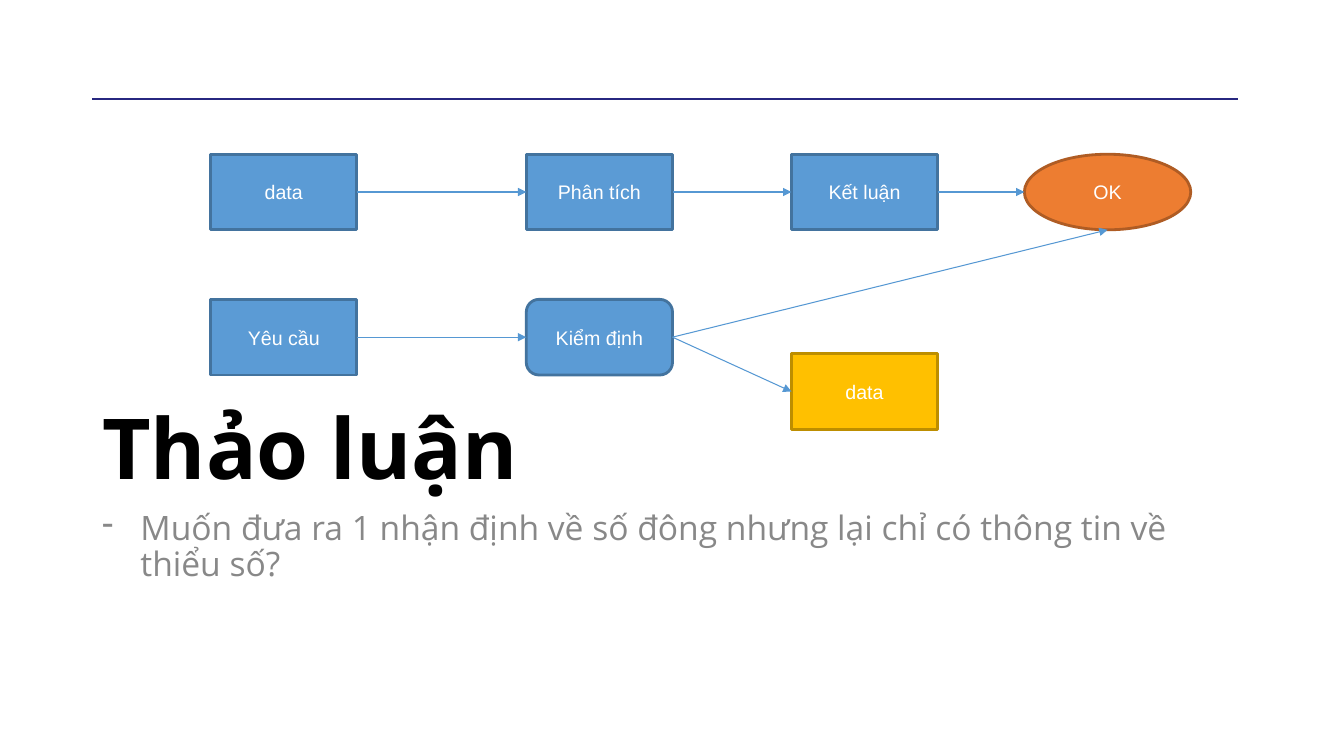
from dataclasses import dataclass

import pptx
import pptx.dml.color
import pptx.enum.shapes
import pptx.enum.text
import pptx.util
from lxml import etree
from pptx.oxml.ns import qn

SHAPE = pptx.enum.shapes.MSO_SHAPE
ANCHOR = pptx.enum.text.MSO_ANCHOR
ALIGN = pptx.enum.text.PP_ALIGN
LEFT_SITE, RIGHT_SITE = 1, 3


@dataclass(frozen=True)
class Theme:
    title_font: str = "Open Sans"
    label_font: str = "Arial"
    title_size: int = 60
    question_size: int = 24
    label_size: int = 14
    title: str = "000000"
    question: str = "888888"
    label: str = "FFFFFF"
    rule: str = "272780"
    arrow: str = "5698D3"
    step: tuple[str, str] = ("5B9BD5", "43739E")
    success: tuple[str, str] = ("ED7D31", "AF5C24")
    fallback: tuple[str, str] = ("FFC000", "BD8E00")
    border_width: float = 2
    arrow_width: float = 0.75


@dataclass(frozen=True)
class Step:
    label: str
    column: int
    row: int
    colours: tuple[str, str]
    outline: SHAPE = SHAPE.RECTANGLE
    width: float = 10.88


@dataclass(frozen=True)
class Flow:
    source: str
    target: str
    enters_below: bool = False


THEME = Theme()
SLIDE_WIDTH, SLIDE_HEIGHT = pptx.util.Inches(13.33), pptx.util.Inches(7.5)

# Percentages of the slide's width and height
COLUMNS = (15.68, 39.16, 58.89, 76.22)
ROWS = (20.4, 39.6, 46.8)
STEP_HEIGHT = 10
MARGIN, CONTENT_WIDTH = 6.85, 86.3
RULE_Y = 13.1

STEPS = {
    "data": Step("data", 0, 0, THEME.step),
    "analysis": Step("Phân tích", 1, 0, THEME.step),
    "conclusion": Step("Kết luận", 2, 0, THEME.step),
    "ok": Step("OK", 3, 0, THEME.success, SHAPE.OVAL, 12.38),
    "request": Step("Yêu cầu", 0, 1, THEME.step),
    "check": Step("Kiểm định", 1, 1, THEME.step, SHAPE.ROUNDED_RECTANGLE),
    "new data": Step("data", 2, 2, THEME.fallback),
}
FLOWS = (
    Flow("data", "analysis"),
    Flow("analysis", "conclusion"),
    Flow("conclusion", "ok"),
    Flow("request", "check"),
    Flow("check", "new data"),
    Flow("check", "ok", enters_below=True),
)


def across(percent: float) -> int:
    return round(SLIDE_WIDTH * percent / 100)


def down(percent: float) -> int:
    return round(SLIDE_HEIGHT * percent / 100)


def rgb(colour: str) -> pptx.dml.color.RGBColor:
    return pptx.dml.color.RGBColor.from_string(colour)


def style_font(font, name: str, size: float, colour: str, bold: bool = False) -> None:
    font.name = name
    font.size = pptx.util.Pt(size)
    font.color.rgb = rgb(colour)
    font.bold = bold


def style_line(line, colour: str, width: float) -> None:
    line.color.rgb = rgb(colour)
    line.width = pptx.util.Pt(width)


def fill_placeholder(placeholder, text: str, top: float, height: float, anchor: ANCHOR):
    """Place a template placeholder and return its only paragraph."""
    placeholder.left, placeholder.top = across(MARGIN), down(top)
    placeholder.width, placeholder.height = across(CONTENT_WIDTH), down(height)
    frame = placeholder.text_frame
    frame.text = text
    frame.auto_size = pptx.enum.text.MSO_AUTO_SIZE.NONE
    frame.vertical_anchor = anchor
    paragraph = frame.paragraphs[0]
    paragraph.alignment = ALIGN.LEFT
    paragraph.line_spacing = 0.9
    paragraph.space_before = pptx.util.Pt(0)
    return paragraph


def add_dash_bullet(paragraph, colour: str) -> None:
    properties = paragraph._p.get_or_add_pPr()
    indent = pptx.util.Inches(0.38)
    properties.set("marL", str(indent))
    properties.set("indent", str(-indent))
    bullet_colour = etree.SubElement(properties, qn("a:buClr"))
    etree.SubElement(bullet_colour, qn("a:srgbClr"), val=colour)
    etree.SubElement(properties, qn("a:buFontTx"))
    etree.SubElement(properties, qn("a:buChar"), char="-")


def add_line(shapes, start: tuple[int, int], end: tuple[int, int], colour: str, width: float):
    line = shapes.add_connector(pptx.enum.shapes.MSO_CONNECTOR.STRAIGHT, *start, *end)
    style_line(line.line, colour, width)
    etree.SubElement(line._element.spPr, qn("a:effectLst"))
    return line


def add_step(shapes, step: Step):
    box = shapes.add_shape(
        step.outline,
        across(COLUMNS[step.column]),
        down(ROWS[step.row]),
        across(step.width),
        down(STEP_HEIGHT),
    )
    fill, border = step.colours
    box.shadow.inherit = False
    box.fill.solid()
    box.fill.fore_color.rgb = rgb(fill)
    style_line(box.line, border, THEME.border_width)
    box.text_frame.text = step.label
    box.text_frame.vertical_anchor = ANCHOR.MIDDLE
    label = box.text_frame.paragraphs[0]
    label.alignment = ALIGN.CENTER
    style_font(label.runs[0].font, THEME.label_font, THEME.label_size, THEME.label)
    return box


def add_flow(shapes, source, target, enters_below: bool) -> None:
    start = source.left + source.width, source.top + source.height // 2
    if enters_below:
        end = target.left + target.width // 2, target.top + target.height
    else:
        end = target.left, target.top + target.height // 2
    arrow = add_line(shapes, start, end, THEME.arrow, THEME.arrow_width)
    etree.SubElement(arrow.line._get_or_add_ln(), qn("a:tailEnd"), type="triangle")
    arrow.begin_connect(source, RIGHT_SITE)
    # An oval numbers its connection sites differently from a rectangle
    if target.auto_shape_type != SHAPE.OVAL:
        arrow.end_connect(target, LEFT_SITE)


def main() -> None:
    deck = pptx.Presentation()
    deck.slide_width, deck.slide_height = SLIDE_WIDTH, SLIDE_HEIGHT
    slide = deck.slides.add_slide(deck.slide_layouts.get_by_name("Title and Content"))
    shapes = slide.shapes

    title = fill_placeholder(shapes.title, "Thảo luận", 24.93, 41.6, ANCHOR.BOTTOM)
    style_font(title.runs[0].font, THEME.title_font, THEME.title_size, THEME.title, bold=True)

    question = fill_placeholder(
        slide.placeholders[1],
        "Muốn đưa ra 1 nhận định về số đông nhưng lại chỉ có thông tin về thiểu số?",
        66.93,
        21.87,
        ANCHOR.TOP,
    )
    add_dash_bullet(question, THEME.question)
    style_font(question.runs[0].font, THEME.title_font, THEME.question_size, THEME.question)

    rule_ends = (across(MARGIN), down(RULE_Y)), (across(100 - MARGIN - 1), down(RULE_Y))
    add_line(shapes, *rule_ends, THEME.rule, THEME.border_width)

    boxes = {key: add_step(shapes, step) for key, step in STEPS.items()}
    for flow in FLOWS:
        add_flow(shapes, boxes[flow.source], boxes[flow.target], flow.enters_below)

    deck.save("out.pptx")


if __name__ == "__main__":
    main()
